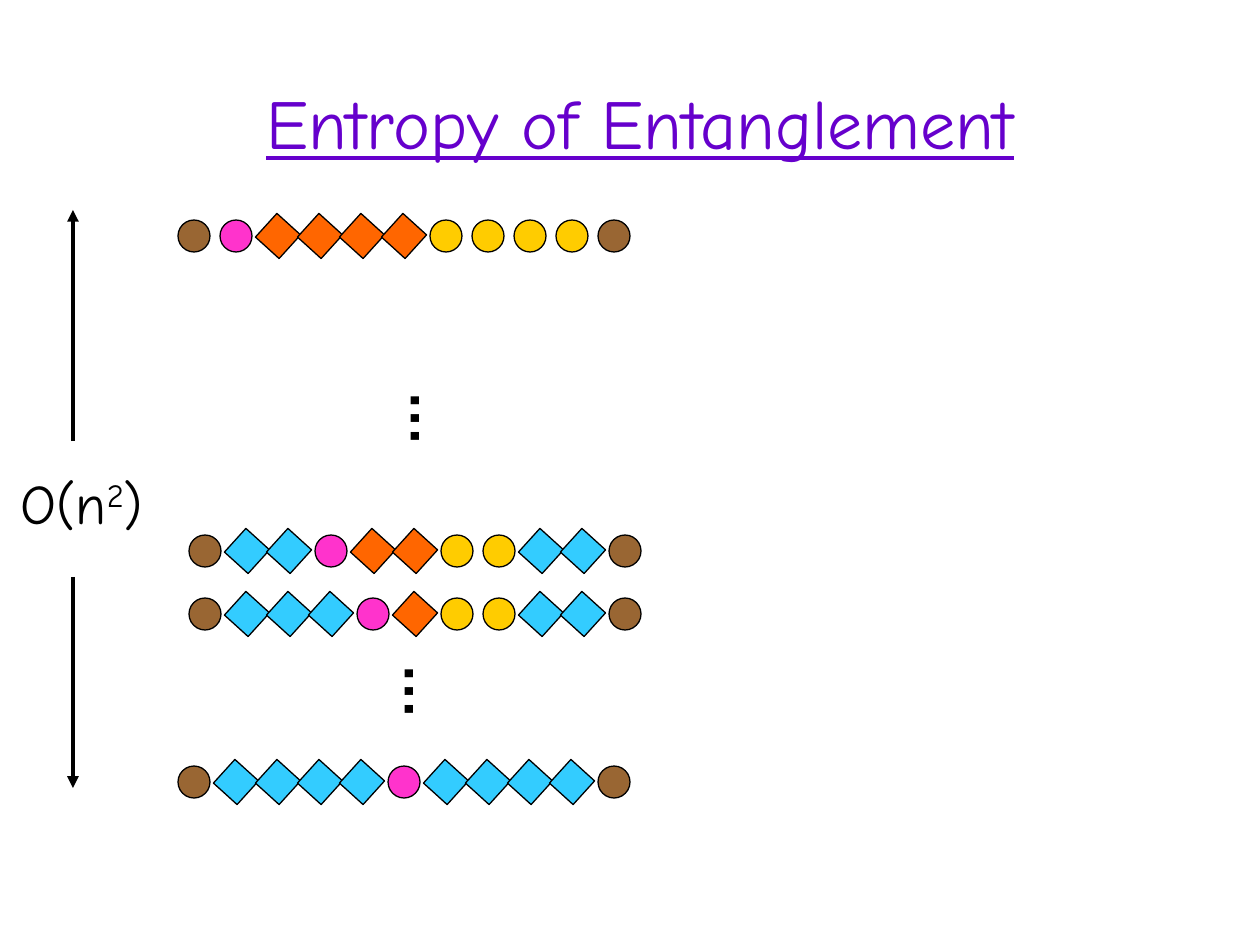
"""Build the Entropy of Entanglement slide."""
from lxml.etree import SubElement
from pptx import Presentation
from pptx.dml.color import RGBColor
from pptx.enum.shapes import MSO_CONNECTOR, MSO_SHAPE
from pptx.enum.text import MSO_ANCHOR, MSO_AUTO_SIZE, PP_ALIGN
from pptx.oxml.ns import qn
from pptx.util import Emu, Pt

TITLE = "Entropy of Entanglement"
FONT = "Comic Neue"
BLACK = "000000"
PARTICLES = {
    "B": (MSO_SHAPE.OVAL, "996633"),
    "P": (MSO_SHAPE.OVAL, "FF33CC"),
    "Y": (MSO_SHAPE.OVAL, "FFCC00"),
    "O": (MSO_SHAPE.RECTANGLE, "FF6600"),
    "C": (MSO_SHAPE.RECTANGLE, "33CCFF"),
}
CHAINS = [
    (178, 220, "BPOOOOYYYYB"),
    (189, 535, "BCCPOOYYCCB"),
    (189, 598, "BCCCPOYYCCB"),
    (178, 766, "BCCCCPCCCCB"),
]
PITCH, SIZE, TILT = 42, 32, 42.2
ELLIPSES = [(357, 378), (351, 651)]
TEXT_H = 81
ARROWS = [(441, 210), (577, 788)]
ARROW_X = 73


def px(n):
    return Emu(round(n * 914400 / 126))


def color(text):
    return RGBColor.from_string(text)


def set_font(p, name, size, hex_color=BLACK):
    p.font.name = name
    p.font.size = Pt(size)
    p.font.color.rgb = color(hex_color)


def add_particle(s, x, y, kind):
    shape, fill = PARTICLES[kind]
    sp = s.shapes.add_shape(shape, px(x), px(y), px(SIZE), px(SIZE))
    sp.shadow.inherit = False
    sp.fill.solid()
    sp.fill.fore_color.rgb = color(fill)
    sp.line.color.rgb = color(BLACK)
    sp.line.width = Pt(0.75)
    if shape == MSO_SHAPE.RECTANGLE:
        sp.rotation = TILT


def add_text(s, x, y, w, runs, font):
    sp = s.shapes.add_textbox(px(x), px(y), px(w), px(TEXT_H))
    tf = sp.text_frame
    tf.word_wrap = True
    tf.auto_size = MSO_AUTO_SIZE.NONE
    p = tf.paragraphs[0]
    set_font(p, font, 32)
    for text, baseline in runs:
        r = p.add_run()
        r.text = text
        if baseline:
            r._r.get_or_add_rPr().set("baseline", str(baseline * 1000))
    return sp


def add_arrow(s, x, y1, y2):
    sp = s.shapes.add_connector(MSO_CONNECTOR.STRAIGHT, px(x), px(y1), px(x), px(y2))
    sp.line.color.rgb = color(BLACK)
    sp.line.width = Pt(2.25)
    SubElement(sp.line._get_or_add_ln(), qn("a:tailEnd"), type="triangle")
    SubElement(sp._element.spPr, qn("a:effectLst"))


def add_title(s):
    sp = s.shapes.title
    sp.left, sp.top, sp.width, sp.height = map(px, (73, 42, 1134, 158))
    tf = sp.text_frame
    tf.text = TITLE
    tf.vertical_anchor = MSO_ANCHOR.MIDDLE
    p = tf.paragraphs[0]
    p.alignment = PP_ALIGN.CENTER
    set_font(p, FONT, 40, "6600CC")
    p.font.underline = True


def main():
    prs = Presentation()
    prs.slide_width, prs.slide_height = px(1260), px(945)
    s = prs.slides.add_slide(prs.slide_layouts[5])
    add_title(s)
    for x, y, chain in CHAINS:
        for i, kind in enumerate(chain):
            add_particle(s, x + i * PITCH, y, kind)
    for x, y in ELLIPSES:
        sp = add_text(s, x, y, TEXT_H, [("…", 0)], "Arial")
        sp.text_frame.paragraphs[0].font.bold = True
        sp.rotation = 270
    add_text(s, 8, 462, 170, [("O(n", 0), ("2", 30), (")", 0)], FONT)
    for y1, y2 in ARROWS:
        add_arrow(s, ARROW_X, y1, y2)
    prs.save("out.pptx")


if __name__ == "__main__":
    main()
